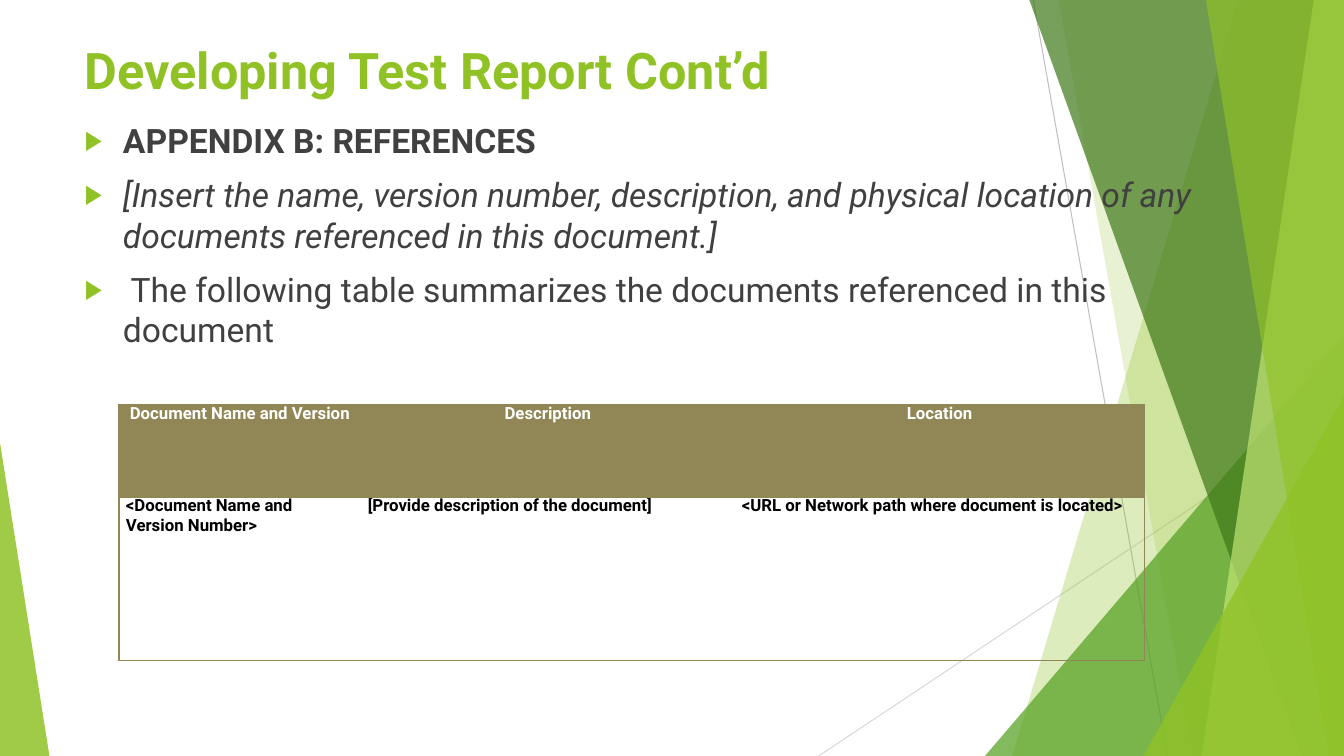
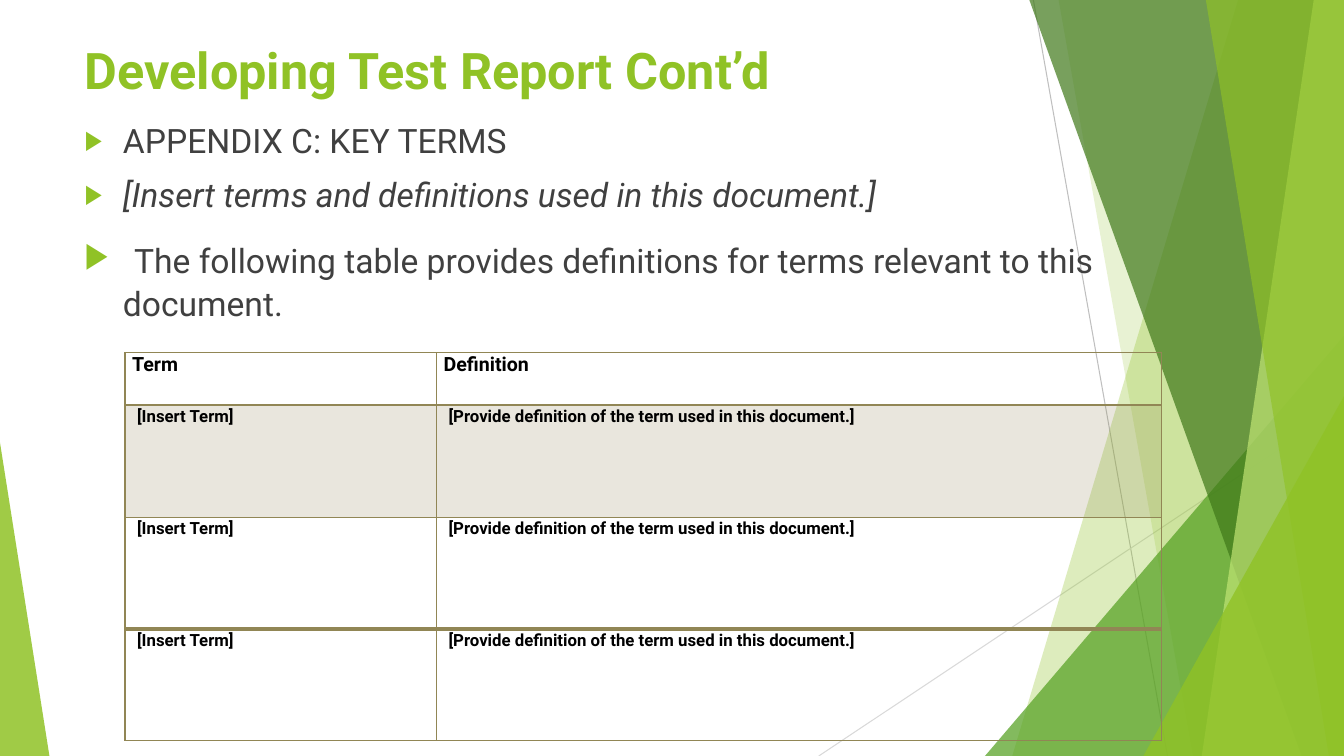
"""Build two test report appendix slides with a faceted green layout."""
from lxml import etree
from pptx import Presentation
from pptx.dml.color import RGBColor
from pptx.enum.shapes import MSO_CONNECTOR, MSO_SHAPE
from pptx.enum.text import MSO_ANCHOR, MSO_AUTO_SIZE, PP_ALIGN
from pptx.oxml.ns import qn
from pptx.util import Inches, Pt

STRAIGHT, TRIANGLE = MSO_CONNECTOR.STRAIGHT, MSO_SHAPE.ISOSCELES_TRIANGLE
LEFT, CENTER, JUSTIFY = PP_ALIGN.LEFT, PP_ALIGN.CENTER, PP_ALIGN.JUSTIFY
TOP, MIDDLE, NO_FIT = MSO_ANCHOR.TOP, MSO_ANCHOR.MIDDLE, MSO_AUTO_SIZE.NONE

COLORS = {
    "lime": "90C226", "leaf": "54A021", "forest": "3F7819", "pale": "C0E474",
    "text": "404040", "olive": "918655", "black": "000000", "white": "FFFFFF",
    "gray": "BFBFBF", "silver": "D9D9D9",
}
FONT = "Roboto"

prs = Presentation()
prs.slide_width, prs.slide_height = Inches(13.33), Inches(7.5)
PX, PY = prs.slide_width / 100, prs.slide_height / 100


def style(r, size, color, bold=False, italic=False):
    f = r.font
    f.name, f.size, f.bold, f.italic = FONT, Pt(size), bold, italic
    f.color.rgb = RGBColor.from_string(COLORS[color])


def paint(fill, el, color, alpha):
    fill.solid()
    fill.fore_color.rgb = RGBColor.from_string(COLORS[color])
    clr = next(el.iter(qn("a:srgbClr")))
    etree.SubElement(clr, qn("a:alpha"), val=str(alpha * 1000))


layout = prs.slide_layouts[1]
for ph in list(layout.placeholders)[2:]:
    ph.element.getparent().remove(ph.element)
boxes = [(5.55, 4.13, 83.27, 10.13), (5.55, 15.2, 86.72, 82.67)]
for ph, (x, y, w, h) in zip(layout.placeholders, boxes):
    ph.left, ph.top = int(x * PX), int(y * PY)
    ph.width, ph.height = int(w * PX), int(h * PY)

TERM_ROW = ["[Insert Term]", "[Provide definition of the term used in this document.]"]
SLIDES = [
    {
        "bullets": [
            [("APPENDIX B: REFERENCES", 24, True, False)],
            [("[Insert the name, version number, description, and physical location "
              "of any documents referenced in this document.]", 24, False, True)],
            [(" The following table summarizes the documents referenced in this document",
              24, False, False)],
        ],
        "at": (8.85, 53.47),
        "cols": [18, 27.83, 30.46],
        "rows": [12.13, 21.73],
        "cells": [
            ["Document Name and Version", "Description", "Location"],
            ["<Document Name and Version Number>", "[Provide description of the document]",
             "<URL or Network path where document is located>"],
        ],
        "h_rules": [1, 4, 1],
        "v_rules": [1, 0, 0, 1],
        "shades": {0: 100},
        "head": (12, "white", CENTER, 3, 6, 1.0, 0),
        "body": (12, "black", LEFT, 3, 6, 1.0, 0),
    },
    {
        "bullets": [
            [("APPENDIX C: KEY TERMS", 24, False, False)],
            [("[Insert terms and definitions used in this document.]", 24, False, True)],
            [(" ", 32, False, False),
             ("The following table provides definitions for terms relevant to this document.",
              24, False, False)],
        ],
        "at": (9.3, 46.67),
        "cols": [23.18, 53.94],
        "rows": [6.93] + [14.8] * 3,
        "cells": [["Term", "Definition"]] + [TERM_ROW] * 3,
        "h_rules": [1, 2, 1, 4, 1],
        "v_rules": [1, 1, 1],
        "shades": {1: 20},
        "head": (14, "black", JUSTIFY, 3, 6, 1.0, 0),
        "body": (12, "black", JUSTIFY, 1, 1, 1.1, 0.05),
    },
]

for d in SLIDES:
    s = prs.slides.add_slide(layout)

    tf = s.shapes.title.text_frame
    tf.text = "Developing Test Report Cont’d"
    tf.auto_size, tf.vertical_anchor = NO_FIT, MIDDLE
    tf.paragraphs[0].alignment = LEFT
    style(tf.paragraphs[0].runs[0], 36, "lime", True)

    tf = s.placeholders[1].text_frame
    tf.auto_size, tf.vertical_anchor = NO_FIT, TOP
    for i, runs in enumerate(d["bullets"]):
        p = tf.paragraphs[0] if i == 0 else tf.add_paragraph()
        p.space_before = Pt(10)
        pPr = p._p.get_or_add_pPr()
        pPr.set("marL", str(Inches(0.38)))
        pPr.set("indent", str(-Inches(0.38)))
        clr = etree.SubElement(pPr, qn("a:buClr"))
        etree.SubElement(clr, qn("a:srgbClr"), val=COLORS["lime"])
        etree.SubElement(pPr, qn("a:buSzPct"), val="80000")
        etree.SubElement(pPr, qn("a:buFont"), typeface=FONT)
        etree.SubElement(pPr, qn("a:buChar"), char="▶")
        for text, size, bold, italic in runs:
            r = p.add_run()
            r.text = text
            style(r, size, "text", bold, italic)

    x, y = d["at"]
    cols, rows = d["cols"], d["rows"]
    tbl = s.shapes.add_table(len(rows), len(cols), int(x * PX), int(y * PY),
                             int(sum(cols) * PX), int(sum(rows) * PY)).table
    tbl.first_row = tbl.horz_banding = False
    for col, w in zip(tbl.columns, cols):
        col.width = int(w * PX)
    for row, h in zip(tbl.rows, rows):
        row.height = int(h * PY)

    for i, texts in enumerate(d["cells"]):
        size, color, align, before, after, spacing, indent = d["body" if i else "head"]
        for j, text in enumerate(texts):
            cell = tbl.cell(i, j)
            cell.margin_left = cell.margin_right = Inches(0.07)
            cell.margin_top = cell.margin_bottom = 0
            p = cell.text_frame.paragraphs[0]
            p.text = text
            p.alignment, p.line_spacing = align, spacing
            p.space_before, p.space_after = Pt(before), Pt(after)
            p._p.get_or_add_pPr().set("marL", str(Inches(indent)))
            style(p.runs[0], size, color, True)

            tcPr = cell._tc.get_or_add_tcPr()
            if i in d["shades"]:
                paint(cell.fill, tcPr, "olive", d["shades"][i])
            else:
                cell.fill.background()
            h_rules, v_rules = d["h_rules"], d["v_rules"]
            edges = [("L", v_rules[j]), ("R", v_rules[j + 1]),
                     ("T", h_rules[i]), ("B", h_rules[i + 1])]
            for k, (side, width) in enumerate(edges):
                ln = etree.Element(qn("a:ln" + side), w=str(Pt(width)))
                tcPr.insert(k, ln)
                if width:
                    fill = etree.SubElement(ln, qn("a:solidFill"))
                    etree.SubElement(fill, qn("a:srgbClr"), val=COLORS["olive"])
                else:
                    etree.SubElement(ln, qn("a:noFill"))

facets = s.shapes.add_group_shape()
for x1, y1, x2, y2, color in [(76.89, 0, 86.87, 100, "gray"),
                              (100, 53.73, 60.92, 100, "silver")]:
    c = facets.shapes.add_connector(STRAIGHT, int(x1 * PX), int(y1 * PY),
                                    int(x2 * PX), int(y2 * PY))
    c.line.color.rgb = RGBColor.from_string(COLORS[color])
    c.line.width = Pt(0.75)
    etree.SubElement(c.element.spPr, qn("a:effectLst"))

FACETS = [
    ("band", 92.12, 75.32, "lime", 30),
    ("band", 78.77, 88.75, "lime", 20),
    ("right", 73.29, 44.4, "leaf", 72),
    ("band", 76.59, 96.85, "forest", 70),
    ("band", 97.75, 89.42, "pale", 70),
    ("band", 89.72, 98.87, "lime", 65),
    ("right", 85.07, 52.4, "lime", 80),
    ("left", 3.68, 58.53, "lime", 85),
]
for kind, a, b, color, alpha in FACETS:
    if kind == "band":
        fb = facets.shapes.build_freeform(int(a * PX), 0)
        fb.add_line_segments([(int(x * PX), int(y * PY))
                              for x, y in [(100, 0), (100, 100), (b, 100)]])
        sp = fb.convert_to_shape()
    else:
        x1, x2 = (a, 100) if kind == "right" else (0, a)
        sp = facets.shapes.add_shape(TRIANGLE, int(x1 * PX), int(b * PY),
                                     int((x2 - x1) * PX), int((100 - b) * PY))
        sp.adjustments[0] = 1 if kind == "right" else 0
    sp.shadow.inherit = False
    sp.line.fill.background()
    paint(sp.fill, sp.element.spPr, color, alpha)
layout.shapes.element.insert(2, facets.element)

prs.save("out.pptx")
